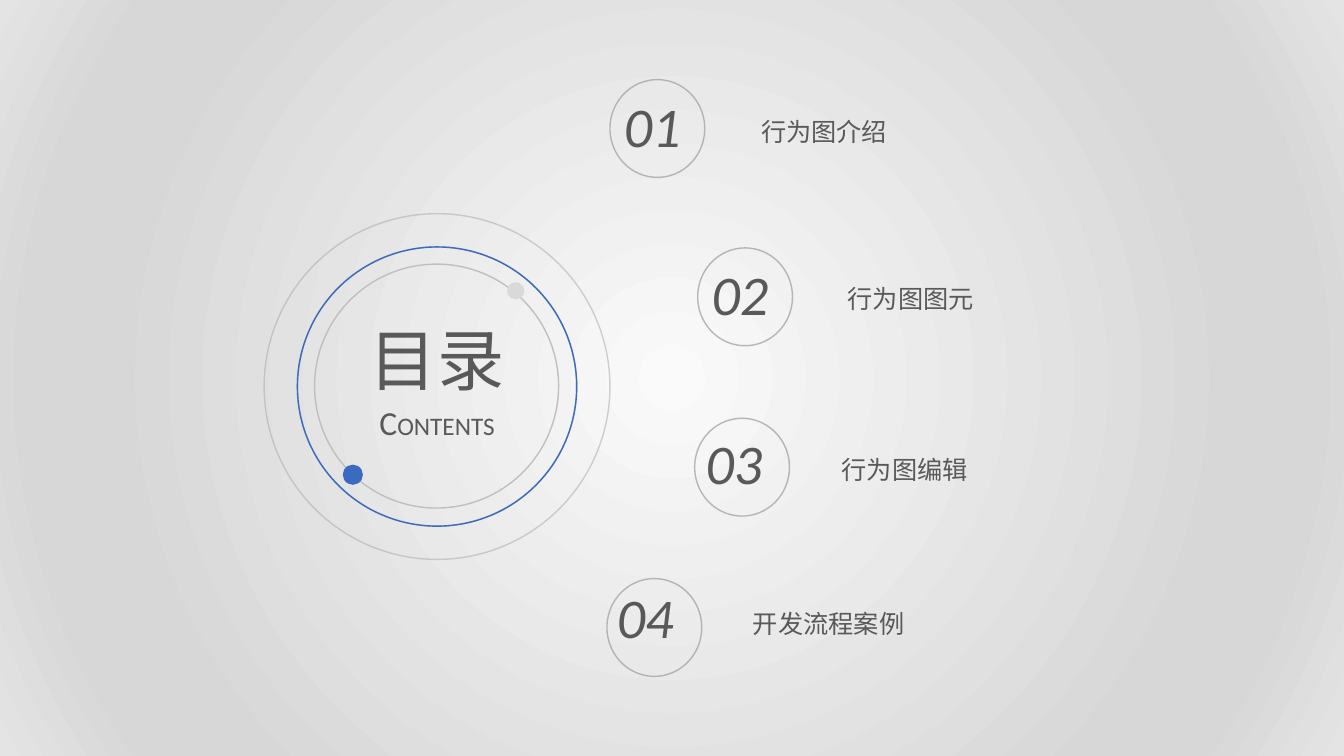
from dataclasses import dataclass

from lxml.etree import SubElement
from pptx import Presentation
from pptx.dml.color import RGBColor
from pptx.enum.shapes import MSO_SHAPE
from pptx.enum.text import MSO_ANCHOR, MSO_AUTO_SIZE, PP_ALIGN
from pptx.oxml.ns import qn
from pptx.util import Inches, Pt

LATIN, CJK = "Calibri", "Noto Sans CJK SC"
INK, BLUE, GREY, PALE = "595959", "3A6BBF", "A6A6A6", "D9D9D9"
NUMBER_RING = (0.94, 0.97)


@dataclass
class Circle:
    left: float
    top: float
    width: float
    height: float
    color: str
    opacity: int = 100
    filled: bool = False


@dataclass
class Entry:
    number: str
    label: str
    ring: tuple[float, float]
    number_at: tuple[float, float]
    label_at: tuple[float, float]


RINGS = [
    Circle(3.12, 2.62, 2.42, 2.42, "BFBFBF"),
    Circle(2.95, 2.45, 2.77, 2.77, GREY, 70),
    Circle(2.95, 2.45, 2.77, 2.77, BLUE),
    Circle(2.62, 2.12, 3.43, 3.43, GREY, 50),
]
DOTS = [
    Circle(3.4, 4.61, 0.2, 0.2, BLUE, filled=True),
    Circle(5.03, 2.8, 0.17, 0.17, PALE, filled=True),
]
ENTRIES = [
    Entry("01", "行为图介绍", (6.05, 0.79), (6.09, 0.86), (7.45, 1.1)),
    Entry("02", "行为图图元", (6.92, 2.46), (6.96, 2.53), (8.31, 2.76)),
    Entry("03", "行为图编辑", (6.89, 4.15), (6.9, 4.2), (8.25, 4.46)),
    Entry("04", "开发流程案例", (6.02, 5.74), (6.02, 5.73), (7.37, 5.99)),
]


def rgb(color: str) -> RGBColor:
    return RGBColor.from_string(color)


def add_circle(slide, circle: Circle) -> None:
    oval = slide.shapes.add_shape(
        MSO_SHAPE.OVAL, Inches(circle.left), Inches(circle.top),
        Inches(circle.width), Inches(circle.height))
    oval.shadow.inherit = False
    if circle.filled:
        oval.fill.solid()
        oval.fill.fore_color.rgb = rgb(circle.color)
        oval.line.fill.background()
        return
    oval.fill.background()
    oval.line.color.rgb = rgb(circle.color)
    oval.line.width = Pt(1)
    if circle.opacity < 100:
        tone = oval.line._get_or_add_ln().find(".//" + qn("a:srgbClr"))
        SubElement(tone, qn("a:alpha"), val=str(circle.opacity * 1000))


def add_run(paragraph, text: str, size: int, font: str = LATIN, italic: bool = False) -> None:
    run = paragraph.add_run()
    run.text = text
    run.font.size = Pt(size)
    run.font.italic = italic
    run.font.color.rgb = rgb(INK)
    run.font.name = font
    SubElement(run.font._element, qn("a:ea"), typeface=CJK)


def add_text(slide, at: tuple[float, float], size: tuple[float, float], wrap: bool = True):
    box = slide.shapes.add_textbox(*map(Inches, at + size))
    box.text_frame.word_wrap = wrap
    box.text_frame.auto_size = MSO_AUTO_SIZE.SHAPE_TO_FIT_TEXT
    return box.text_frame.paragraphs[0]


def paint_background(slide) -> None:
    fill = slide.background.fill
    fill.gradient()
    gradient = slide.background._cSld.find(".//" + qn("a:gradFill"))
    for child in list(gradient):
        gradient.remove(child)
    stops = SubElement(gradient, qn("a:gsLst"))
    for position, color in ((0, "FAFAFA"), (74, "D7D7D7"), (83, "D7D7D7"), (100, "E4E4E4")):
        stop = SubElement(stops, qn("a:gs"), pos=str(position * 1000))
        SubElement(stop, qn("a:srgbClr"), val=color)
    circle = SubElement(gradient, qn("a:path"), path="circle")
    SubElement(circle, qn("a:fillToRect"), dict.fromkeys("ltrb", "50000"))


def add_heading(slide) -> None:
    title = slide.shapes.title
    title.left, title.top, title.width, title.height = map(Inches, (3.2, 3.11, 2.27, 0.91))
    frame = title.text_frame
    frame.word_wrap = True
    frame.auto_size = MSO_AUTO_SIZE.SHAPE_TO_FIT_TEXT
    frame.vertical_anchor = MSO_ANCHOR.TOP
    frame.paragraphs[0].alignment = PP_ALIGN.CENTER
    add_run(frame.paragraphs[0], "目录", 48)

    subtitle = add_text(slide, (3.59, 3.94), (1.49, 0.5), wrap=False)
    subtitle.alignment = PP_ALIGN.CENTER
    add_run(subtitle, "C", 24)
    add_run(subtitle, "ONTENTS", 18)


def add_entry(slide, entry: Entry) -> None:
    add_circle(slide, Circle(*entry.ring, *NUMBER_RING, GREY, 80))
    add_run(add_text(slide, entry.number_at, (0.89, 0.77)), entry.number, 40, italic=True)
    add_run(add_text(slide, entry.label_at, (2.4, 0.4)), entry.label, 18, CJK)


def main() -> None:
    deck = Presentation()
    deck.slide_width, deck.slide_height = Inches(13.33), Inches(7.5)
    slide = deck.slides.add_slide(deck.slide_layouts[5])
    paint_background(slide)

    # Concentric rings with the heading inside
    for circle in RINGS + DOTS:
        add_circle(slide, circle)
    add_heading(slide)

    # Numbered contents
    for entry in ENTRIES:
        add_entry(slide, entry)
    deck.save("out.pptx")


if __name__ == "__main__":
    main()
